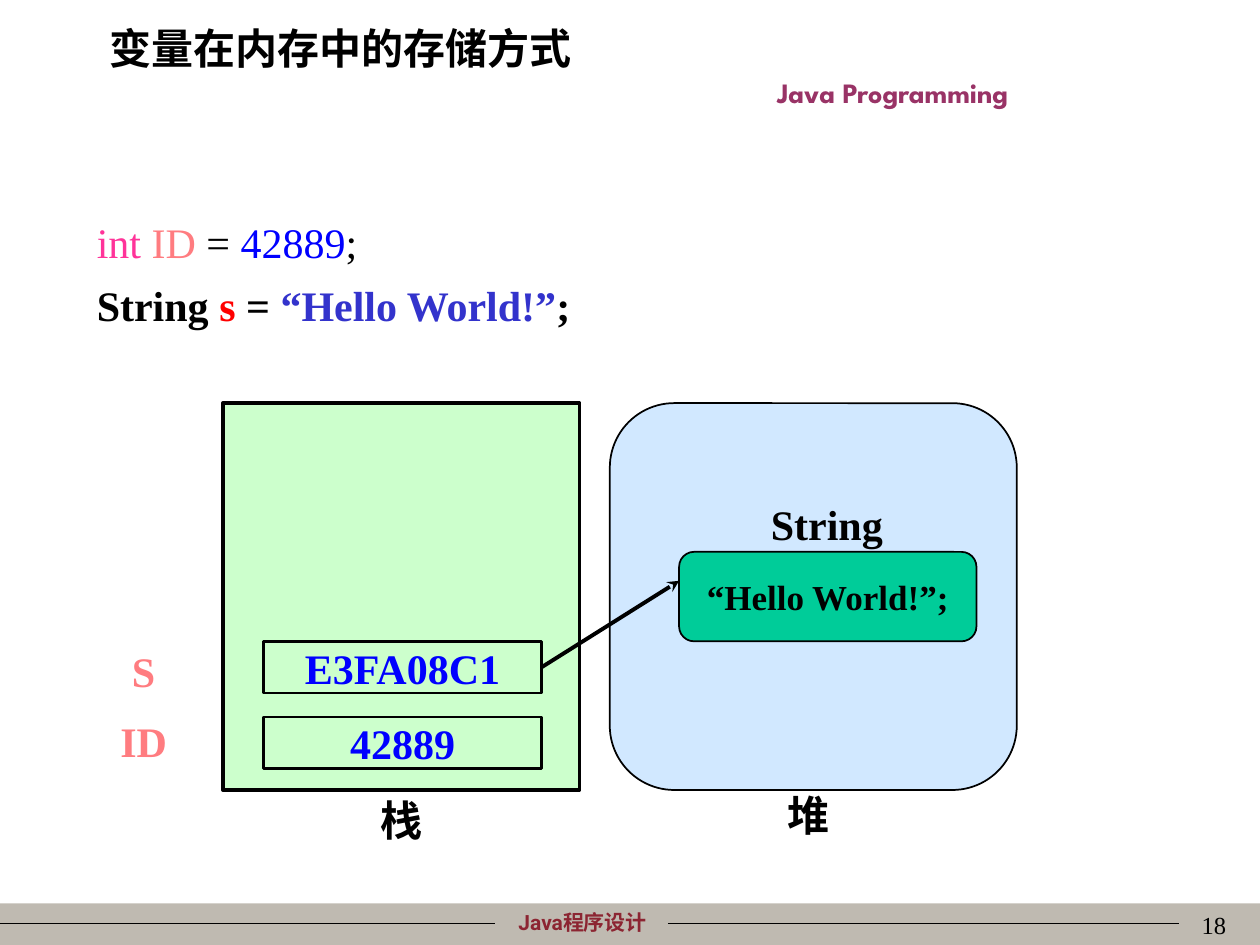
"""Build a slide showing how Java variables are stored on the stack and heap."""
from lxml import etree
from pptx import Presentation
from pptx.dml.color import RGBColor
from pptx.enum.shapes import MSO_CONNECTOR, MSO_SHAPE
from pptx.enum.text import MSO_ANCHOR, PP_ALIGN
from pptx.oxml.ns import qn
from pptx.util import Inches, Pt

RECTANGLE = MSO_SHAPE.RECTANGLE
ROUNDED = MSO_SHAPE.ROUNDED_RECTANGLE
STRAIGHT = MSO_CONNECTOR.STRAIGHT
TOP, MIDDLE = MSO_ANCHOR.TOP, MSO_ANCHOR.MIDDLE
LEFT, CENTER, RIGHT = PP_ALIGN.LEFT, PP_ALIGN.CENTER, PP_ALIGN.RIGHT

SERIF = "Times New Roman"
CJK = "Noto Sans CJK SC"
COLORS = {
    "black": "000000", "footer": "BFBAB1", "footer_text": "8C2532",
    "course": "993366", "keyword": "FF3399", "variable": "FF7C80",
    "value": "0000FF", "reference": "FF0000", "string": "3333CC",
    "stack": "CCFFCC", "heap": "99CCFF", "object": "00CC99",
}


def rgb(name):
    """Return the named colour."""
    return RGBColor.from_string(COLORS[name])


def add_run(paragraph, text, color="black", size=24, font=SERIF, bold=True):
    """Add one formatted run to a paragraph."""
    run = paragraph.add_run()
    run.text = text
    run.font.name = font
    run.font.size = Pt(size)
    run.font.bold = bold
    run.font.color.rgb = rgb(color)
    east_asian = etree.Element(qn("a:ea"), typeface=CJK)
    run.font._element.find(qn("a:latin")).addnext(east_asian)


def format_frame(shape, anchor, wrap):
    """Set the anchor, wrapping and insets of a shape's text."""
    frame = shape.text_frame
    frame.word_wrap = wrap
    frame.vertical_anchor = anchor
    frame.margin_left = frame.margin_right = Inches(0.1)
    frame.margin_top = frame.margin_bottom = Inches(0.05)
    return frame


def add_text(slide, box, text, align=CENTER, anchor=MIDDLE, wrap=False, **style):
    """Add a text box with a single run."""
    shape = slide.shapes.add_textbox(*map(Inches, box))
    paragraph = format_frame(shape, anchor, wrap).paragraphs[0]
    paragraph.alignment = align
    add_run(paragraph, text, **style)


def add_box(slide, kind, box, fill, line_width=None, text=None, **style):
    """Add a filled preset shape with an optional outline and label."""
    shape = slide.shapes.add_shape(kind, *map(Inches, box))
    shape.shadow.inherit = False
    shape.fill.solid()
    shape.fill.fore_color.rgb = rgb(fill)
    if line_width:
        shape.line.color.rgb = rgb("black")
        shape.line.width = Pt(line_width)
    else:
        shape.line.fill.background()
    if text:
        paragraph = format_frame(shape, MIDDLE, False).paragraphs[0]
        paragraph.alignment = CENTER
        add_run(paragraph, text, **style)
    return shape


def set_opacity(shape, percent):
    """Make a solid fill partly transparent."""
    color = shape.fill._xPr.find(qn("a:solidFill"))[0]
    etree.SubElement(color, qn("a:alpha"), val=str(percent * 1000))


def add_line(slide, start, end, width):
    """Add a straight black connector."""
    line = slide.shapes.add_connector(STRAIGHT, *map(Inches, start + end))
    line.line.color.rgb = rgb("black")
    line.line.width = Pt(width)
    etree.SubElement(line._element.spPr, qn("a:effectLst"))
    return line


def add_title(slide, text):
    """Place and fill the title placeholder."""
    title = slide.shapes.title
    title.left, title.top, title.width, title.height = map(
        Inches, (0.77, 0.13, 8.5, 0.5))
    paragraph = format_frame(title, TOP, True).paragraphs[0]
    paragraph.alignment = LEFT
    add_run(paragraph, text, font=CJK)


def add_frame(slide):
    """Add the course name, footer band and page number."""
    add_box(slide, RECTANGLE, (0, 7.17, 10, 0.33), "footer")
    add_text(slide, (3.62, 7.17, 2.01, 0.3), "Java程序设计", anchor=TOP, wrap=True,
             color="footer_text", size=12, font="Roboto")
    for left, right in ((0, 3.93), (5.3, 9.36)):
        add_line(slide, (left, 7.33), (right, 7.33), 0.75)
    add_text(slide, (5.08, 0.55, 4.01, 0.37), "Java Programming", anchor=TOP,
             wrap=True, color="course", size=16, font="League Spartan")
    add_text(slide, (7.75, 7.17, 2.08, 0.5), "18", align=RIGHT, anchor=TOP,
             wrap=True, size=14, bold=False)


def add_code(slide):
    """Add the two variable declarations."""
    statements = (
        (False, (("int ", "keyword"), ("ID", "variable"), (" = ", "black"),
                 ("42889", "value"), (";", "black"))),
        (True, (("String ", "black"), ("s", "reference"), (" = ", "black"),
                ("“Hello World!”", "string"), (";", "black"))),
    )
    shape = slide.shapes.add_textbox(*map(Inches, (0.67, 1.67, 8.5, 1.1)))
    frame = format_frame(shape, TOP, True)
    for index, (bold, pieces) in enumerate(statements):
        paragraph = frame.add_paragraph() if index else frame.paragraphs[0]
        if index:
            paragraph.space_before = Pt(7)
        for text, color in pieces:
            add_run(paragraph, text, color, bold=bold)


def add_stack(slide):
    """Add the stack with its variables and return the reference slot."""
    add_box(slide, RECTANGLE, (1.77, 3.2, 2.83, 3.07), "stack", 2.25)
    variables = (("ID", 5.64, "42889", 5.69), ("S", 5.09, "E3FA08C1", 5.09))
    for name, name_top, value, slot_top in variables:
        slot = add_box(slide, RECTANGLE, (2.09, slot_top, 2.21, 0.41), "stack",
                       1.5, value, color="value")
        add_text(slide, (0.59, name_top, 1.1, 0.47), name, color="variable")
    add_text(slide, (2.64, 6.27, 1.1, 0.47), "栈")
    return slot


def add_heap(slide):
    """Add the heap with its string object."""
    heap = add_box(slide, ROUNDED, (4.84, 3.2, 3.23, 3.07), "heap", 1)
    set_opacity(heap, 45)
    add_box(slide, ROUNDED, (5.39, 4.38, 2.36, 0.71), "object", 1,
            "“Hello World!”;", size=20)
    add_text(slide, (6.02, 3.91, 1.09, 0.5), "String", align=LEFT, anchor=TOP)
    add_text(slide, (5.87, 6.23, 1.1, 0.47), "堆")


def add_reference(slide, slot):
    """Point an arrow from the reference slot to the string object."""
    arrow = add_line(slide, (4.3, 5.3), (5.39, 4.61), 2.25)
    arrow.begin_connect(slot, 3)
    etree.SubElement(arrow.line._get_or_add_ln(), qn("a:tailEnd"), type="stealth")


def main():
    """Build and save the presentation."""
    presentation = Presentation()
    presentation.slide_width = Inches(10)
    presentation.slide_height = Inches(7.5)
    slide = presentation.slides.add_slide(presentation.slide_layouts[5])
    add_frame(slide)
    add_title(slide, "变量在内存中的存储方式")
    add_code(slide)
    slot = add_stack(slide)
    add_heap(slide)
    add_reference(slide, slot)
    presentation.save("out.pptx")


if __name__ == "__main__":
    main()
